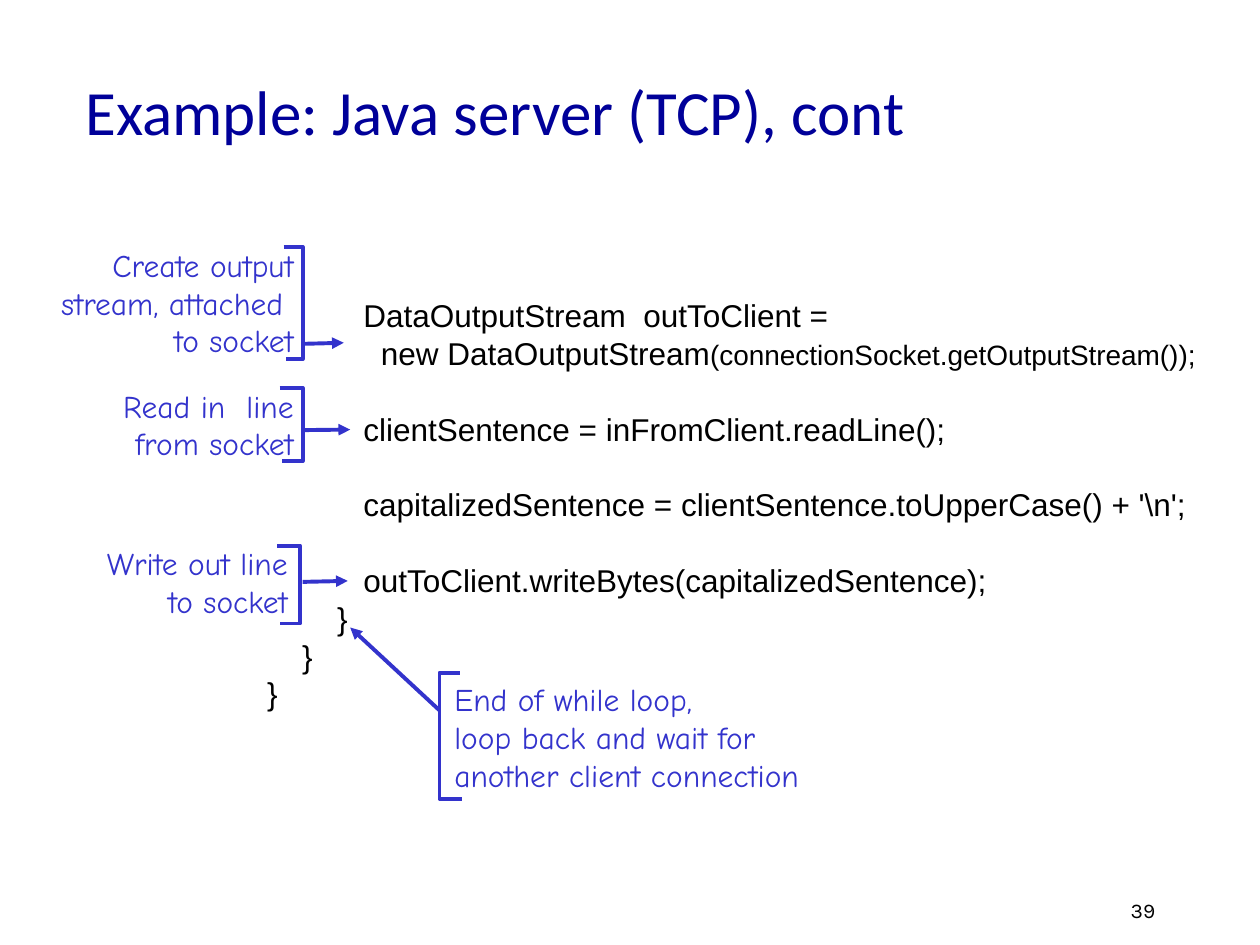
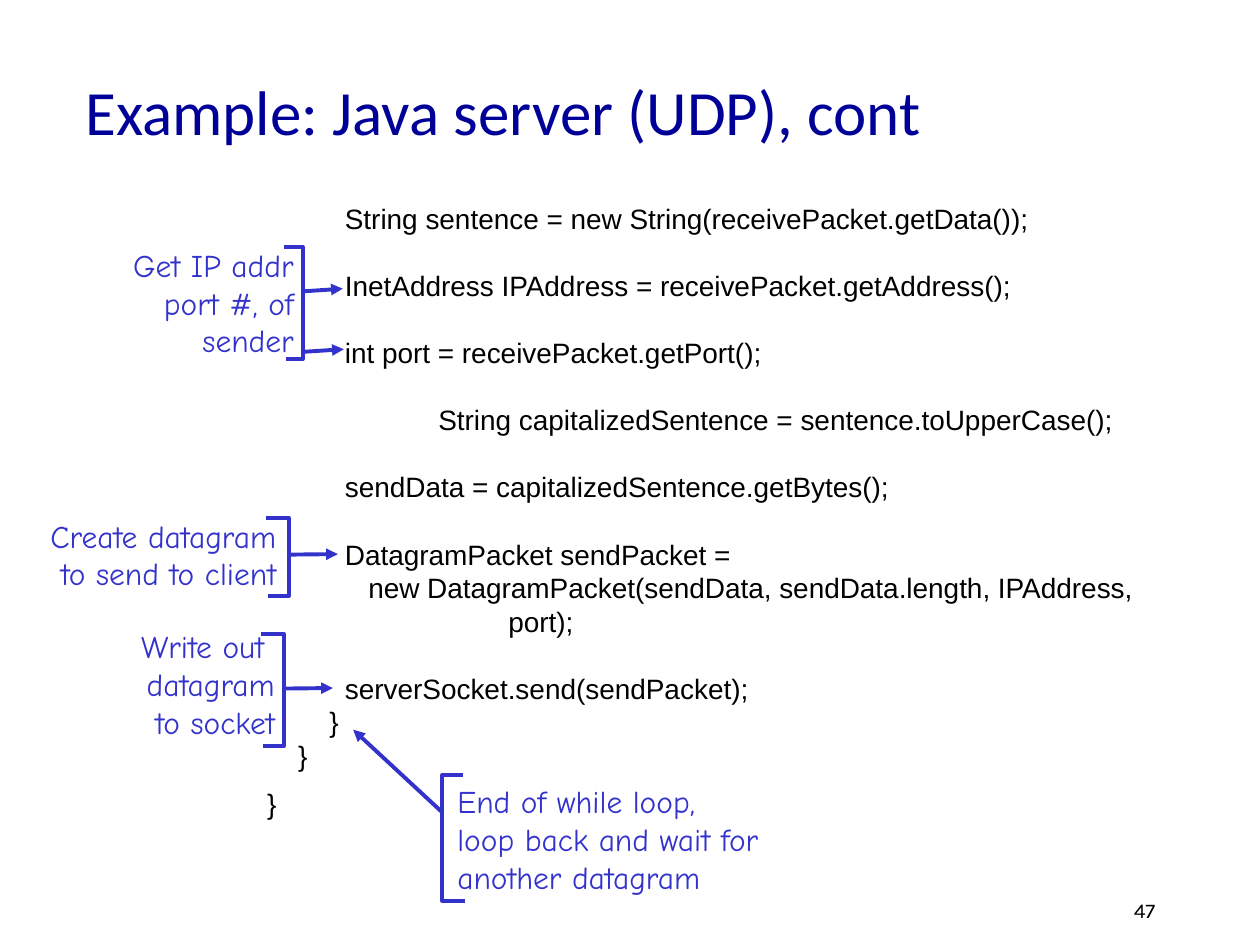
from dataclasses import dataclass

from lxml.etree import SubElement
from pptx import Presentation
from pptx.dml.color import RGBColor
from pptx.enum.shapes import MSO_CONNECTOR as Connector
from pptx.enum.text import MSO_ANCHOR as Anchor, MSO_AUTO_SIZE as AutoSize, PP_ALIGN as Align
from pptx.oxml.ns import qn
from pptx.util import Cm, Pt

NAVY = RGBColor(0x00, 0x00, 0x99)
BLUE = RGBColor(0x33, 0x33, 0xCC)
BLACK = RGBColor(0x00, 0x00, 0x00)
LINE_WIDTH = Pt(2.25)
LINE_HEIGHT = 1.2
SPACE_WIDTH = 0.278
NOTE_SIZE = 18
GAP = 0.05


@dataclass
class CodeLine:
    column: int
    text: str
    lines_before: float = 0
    small_text: str = ""


@dataclass
class SideNote:
    lines: list
    text_right: float
    text_top: float
    spine: float
    top: float
    bottom: float
    arrows: list
    reach: float = 0.46


def style_font(font, name, size, color):
    font.name = name
    font.size = Pt(size)
    font.color.rgb = color


def place(shape, left, top, width, height):
    shape.left, shape.top, shape.width, shape.height = map(Cm, (left, top, width, height))


def add_title(slide, text):
    title = slide.shapes.title
    place(title, 1.47, 0.64, 21.59, 3.18)
    title.text_frame.vertical_anchor = Anchor.MIDDLE
    paragraph = title.text_frame.paragraphs[0]
    paragraph.text = text
    paragraph.alignment = Align.LEFT
    style_font(paragraph.font, "Calibri", 36, NAVY)


def add_code(slide, top, size, code_lines):
    body = slide.placeholders[1]
    place(body, 5.13, top, 20, 12.5)
    frame = body.text_frame
    frame.auto_size = AutoSize.NONE
    frame.vertical_anchor = Anchor.TOP
    for index, line in enumerate(code_lines):
        paragraph = frame.paragraphs[0] if index == 0 else frame.add_paragraph()
        properties = paragraph._p.get_or_add_pPr()
        properties.set("marL", str(Pt(line.column * size * SPACE_WIDTH)))
        properties.set("indent", "0")
        SubElement(properties, qn("a:buNone"))
        paragraph.line_spacing = Pt(size * LINE_HEIGHT)
        paragraph.space_before = Pt(size * LINE_HEIGHT * line.lines_before)
        style_font(paragraph.font, "Arial", size, BLACK)
        paragraph.add_run().text = line.text
        if line.small_text:
            run = paragraph.add_run()
            run.text = line.small_text
            run.font.size = Pt(16)


def add_text(slide, left, top, width, height, lines, alignment, font, size, color):
    box = slide.shapes.add_textbox(Cm(left), Cm(top), Cm(width), Cm(height))
    frame = box.text_frame
    frame.word_wrap = True
    for index, line in enumerate(lines):
        paragraph = frame.paragraphs[0] if index == 0 else frame.add_paragraph()
        paragraph.text = line
        paragraph.alignment = alignment
        paragraph.line_spacing = Pt(size * LINE_HEIGHT)
        style_font(paragraph.font, font, size, color)


def add_note_text(slide, left, top, width, lines, alignment):
    height = 0.25 + 0.76 * len(lines)
    add_text(slide, left, top, width, height, lines, alignment, "Comic Neue", NOTE_SIZE, BLUE)


def add_bracket(slide, spine, tip, top, bottom):
    builder = slide.shapes.build_freeform(Cm(tip), Cm(top))
    corners = [(spine, top), (spine, bottom), (tip + GAP, bottom)]
    builder.add_line_segments([(Cm(x), Cm(y)) for x, y in corners], close=False)
    bracket = builder.convert_to_shape()
    bracket.shadow.inherit = False
    bracket.fill.background()
    bracket.line.color.rgb = BLUE
    bracket.line.width = LINE_WIDTH


def add_arrow(slide, start_x, start_y, end_x, end_y):
    arrow = slide.shapes.add_connector(
        Connector.STRAIGHT, Cm(start_x), Cm(start_y), Cm(end_x), Cm(end_y))
    arrow.line.color.rgb = BLUE
    arrow.line.width = LINE_WIDTH
    SubElement(arrow.line._get_or_add_ln(), qn("a:tailEnd"), type="triangle")
    SubElement(arrow._element.spPr, qn("a:effectLst"))


def add_side_note(slide, note):
    width = 5.6
    add_note_text(slide, note.text_right - width, note.text_top, width, note.lines, Align.RIGHT)
    add_bracket(slide, note.spine, note.spine - note.reach, note.top, note.bottom)
    for end_x, start_y, end_y in note.arrows:
        add_arrow(slide, note.spine + GAP, start_y, end_x, end_y)


def add_loop_note(slide, spine, top, awaited):
    lines = ["End of while loop,", "loop back and wait for", f"another {awaited}"]
    add_note_text(slide, spine + GAP, top + 0.03, 8.2, lines, Align.LEFT)
    add_bracket(slide, spine, spine + 0.41, top, top + 2.54)
    add_arrow(slide, spine, top + 0.76, spine - 1.8, top - 0.91)


def add_code_slide(presentation, title, number, code_top, code_size, code_lines, notes, loop_note):
    slide = presentation.slides.add_slide(presentation.slide_layouts[1])
    add_title(slide, title)
    add_code(slide, code_top, code_size, code_lines)
    for note in notes:
        add_side_note(slide, note)
    add_loop_note(slide, *loop_note)
    add_text(slide, 15.49, 17.96, 8.05, 0.79, [number], Align.RIGHT, "Karla", 12, BLACK)


TCP_CODE = [
    CodeLine(11, "DataOutputStream  outToClient ="),
    CodeLine(13, "new DataOutputStream", small_text="(connectionSocket.getOutputStream());"),
    CodeLine(11, "clientSentence = inFromClient.readLine();", 1),
    CodeLine(11, "capitalizedSentence = clientSentence.toUpperCase() + '\\n';", 1),
    CodeLine(11, "outToClient.writeBytes(capitalizedSentence);", 1),
    CodeLine(8, "}"),
    CodeLine(4, "}"),
    CodeLine(0, "}"),
]

TCP_NOTES = [
    SideNote(["Create output", "stream, attached ", "to socket"],
             6.17, 4.83, 6.1, 4.98, 7.24, [(6.93, 6.93, 6.91)], reach=0.38),
    SideNote(["Read in  line", "from socket"],
             6.17, 7.67, 6.1, 7.82, 9.3, [(7.06, 8.67, 8.66)]),
    SideNote(["Write out line", "to socket"],
             6.05, 10.85, 6.05, 11, 12.57, [(7.01, 11.73, 11.71)]),
]

UDP_CODE = [
    CodeLine(10, "String sentence = new String(receivePacket.getData());"),
    CodeLine(10, "InetAddress IPAddress = receivePacket.getAddress();", 1),
    CodeLine(10, "int port = receivePacket.getPort();", 1),
    CodeLine(22, "String capitalizedSentence = sentence.toUpperCase();", 1),
    CodeLine(10, "sendData = capitalizedSentence.getBytes();", 1),
    CodeLine(10, "DatagramPacket sendPacket =", 1),
    CodeLine(13, "new DatagramPacket(sendData, sendData.length, IPAddress,"),
    CodeLine(31, "port);"),
    CodeLine(10, "serverSocket.send(sendPacket);", 1),
    CodeLine(8, "}"),
    CodeLine(4, "}"),
    CodeLine(0, "}", 0.42),
]

UDP_NOTES = [
    SideNote(["Get IP addr", "port #, of", "sender"],
             6.17, 4.83, 6.1, 4.98, 7.24, [(6.91, 5.87, 5.82), (6.93, 7.09, 7.04)], reach=0.38),
    SideNote(["Create datagram", "to send to client"],
             5.82, 10.29, 5.82, 10.44, 12.01, [(6.81, 11.18, 11.17)]),
    SideNote(["Write out ", "datagram", "to socket"],
             5.79, 12.52, 5.72, 12.78, 15.04, [(6.71, 13.88, 13.87)]),
]


def main():
    presentation = Presentation()
    presentation.slide_width = Cm(25.4)
    presentation.slide_height = Cm(19.05)
    add_code_slide(presentation, "Example: Java server (TCP), cont", "39",
                   5.85, 18, TCP_CODE, TCP_NOTES, (8.86, 13.56, "client connection"))
    add_code_slide(presentation, "Example: Java server (UDP), cont", "47",
                   3.93, 16, UDP_CODE, UDP_NOTES, (8.92, 15.62, "datagram"))
    presentation.save("out.pptx")


if __name__ == "__main__":
    main()
